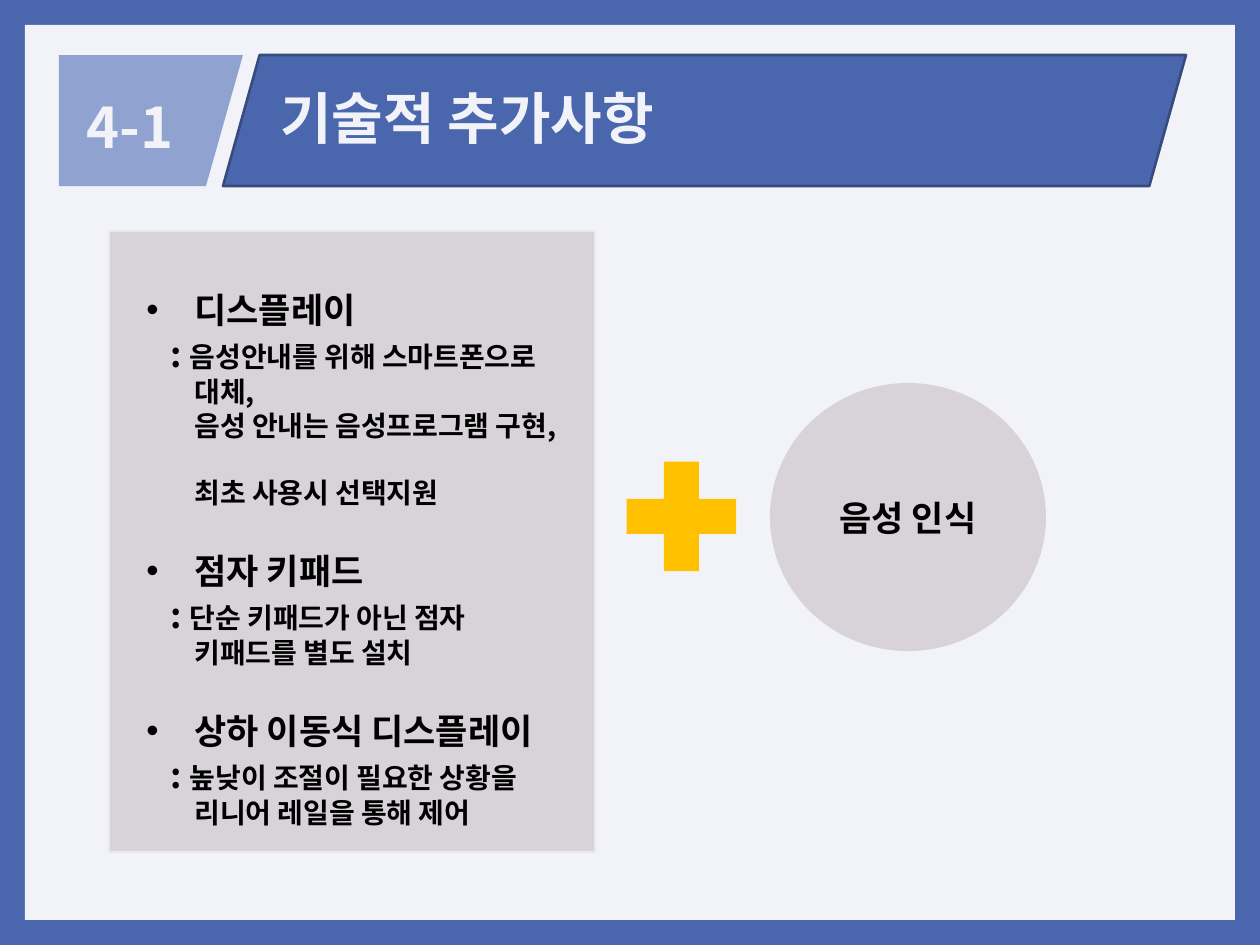
import pptx
import pptx.dml.color
import pptx.enum.shapes
import pptx.enum.text
import pptx.oxml.ns
import pptx.util
from lxml import etree

EMU_PER_PX = 914400 / 126
FONT = "Noto Sans CJK KR"
COLORS = {
    "frame": "4A66AC", "page": "F1F3F9", "panel": "D8D3D9",
    "panel_line": "EBE9EC", "banner_line": "374B7F", "tab": "90A2CF",
    "plus": "FFC000", "text": "000000",
}
SHAPES = pptx.enum.shapes.MSO_SHAPE
ALIGN = pptx.enum.text.PP_ALIGN
HANGING = 48
COLON_INDENT = 24

# Heading and its detail lines; each line has its extra gap above in px
TOPICS = [
    ("디스플레이", [("음성안내를 위해 스마트폰으로", 0), ("대체,", 0),
               ("음성 안내는 음성프로그램 구현,", 0), ("최초 사용시 선택지원", 33)]),
    ("점자 키패드", [("단순 키패드가 아닌 점자", 0), ("키패드를 별도 설치", 0)]),
    ("상하 이동식 디스플레이", [("높낮이 조절이 필요한 상황을", 0),
                      ("리니어 레일을 통해 제어", 0)]),
]


def px(value):
    return pptx.util.Emu(round(value * EMU_PER_PX))


def color(name):
    return pptx.dml.color.RGBColor.from_string(COLORS[name])


def set_all(target, values):
    for name, value in values.items():
        setattr(target, name, value)


def paint(shape, fill, line=None):
    shape.shadow.inherit = False
    shape.fill.solid()
    shape.fill.fore_color.rgb = color(fill)
    if line:
        shape.line.color.rgb = color(line)
        shape.line.width = pptx.util.Pt(1.5)
    else:
        shape.line.fill.background()


def add_box(slide, kind, box, fill, line=None):
    shape = slide.shapes.add_shape(kind, *map(px, box))
    paint(shape, fill, line)
    return shape


def add_outline(slide, points, fill):
    builder = slide.shapes.build_freeform(*points[0], scale=EMU_PER_PX)
    builder.add_line_segments(points[1:], close=True)
    paint(builder.convert_to_shape(), fill)


def add_run(paragraph, text, size, ink="text"):
    run = paragraph.add_run()
    run.text = text
    set_all(run.font, {"name": FONT, "size": pptx.util.Pt(size), "bold": True})
    run.font.color.rgb = color(ink)
    east_asian = etree.SubElement(run.font._element, pptx.oxml.ns.qn("a:ea"))
    east_asian.set("typeface", FONT)


def add_text_frame(slide, box, right_inset=12):
    frame = slide.shapes.add_textbox(*map(px, box)).text_frame
    set_all(frame, {"word_wrap": True, "margin_right": px(right_inset)})
    return frame


def add_label(slide, box, text):
    paragraph = add_text_frame(slide, box).paragraphs[0]
    paragraph.line_spacing = px(73)
    add_run(paragraph, text, 32, "page")


def next_paragraph(frame, line_height, gap, first_indent, bullet=False):
    paragraph = frame.paragraphs[0]
    if paragraph.runs:
        paragraph = frame.add_paragraph()
        paragraph.space_before = px(gap)
    paragraph.line_spacing = px(line_height)
    properties = paragraph._p.get_or_add_pPr()
    properties.set("marL", str(px(HANGING)))
    properties.set("indent", str(px(first_indent)))
    if bullet:
        font = etree.SubElement(properties, pptx.oxml.ns.qn("a:buFont"))
        font.set("typeface", "Arial")
        mark = etree.SubElement(properties, pptx.oxml.ns.qn("a:buChar"))
        mark.set("char", "•")
    return paragraph


def add_topics(slide, box):
    frame = add_text_frame(slide, box, right_inset=0)
    for heading, details in TOPICS:
        paragraph = next_paragraph(frame, 44, 38, -HANGING, bullet=True)
        add_run(paragraph, heading, 20)
        for index, (text, gap) in enumerate(details):
            if index == 0:
                paragraph = next_paragraph(frame, 44, gap, -COLON_INDENT)
                add_run(paragraph, ": ", 20)
            else:
                paragraph = next_paragraph(frame, 34, gap, 0)
            add_run(paragraph, text, 16)


def main():
    presentation = pptx.Presentation()
    set_all(presentation, {"slide_width": px(1260), "slide_height": px(945)})
    slide = presentation.slides.add_slide(presentation.slide_layouts[6])

    # Blue frame around a pale page
    slide.background.fill.solid()
    slide.background.fill.fore_color.rgb = color("frame")
    add_box(slide, SHAPES.RECTANGLE, (25, 25, 1210, 895), "page")

    # Panel plus voice recognition
    circle = add_box(slide, SHAPES.OVAL, (770, 383, 276, 268), "panel")
    circle.text_frame.vertical_anchor = pptx.enum.text.MSO_ANCHOR.MIDDLE
    paragraph = circle.text_frame.paragraphs[0]
    paragraph.alignment = ALIGN.CENTER
    add_run(paragraph, "음성 인식", 20)
    add_box(slide, SHAPES.MATH_PLUS, (607, 442, 149, 149), "plus")
    add_box(slide, SHAPES.RECTANGLE, (109, 231, 486, 621), "panel", "panel_line")
    add_topics(slide, (134, 280, 446, 522))

    # Title banner and section number
    banner = add_box(slide, SHAPES.PARALLELOGRAM, (223, 55, 963, 131),
                     "frame", "banner_line")
    banner.adjustments[0] = 0.28
    add_label(slide, (268, 72, 878, 81), "기술적 추가사항")
    add_outline(slide, [(59, 55), (243, 55), (206, 186), (59, 186)], "tab")
    add_label(slide, (74, 81, 179, 81), "4-1")

    presentation.save("out.pptx")


if __name__ == "__main__":
    main()
